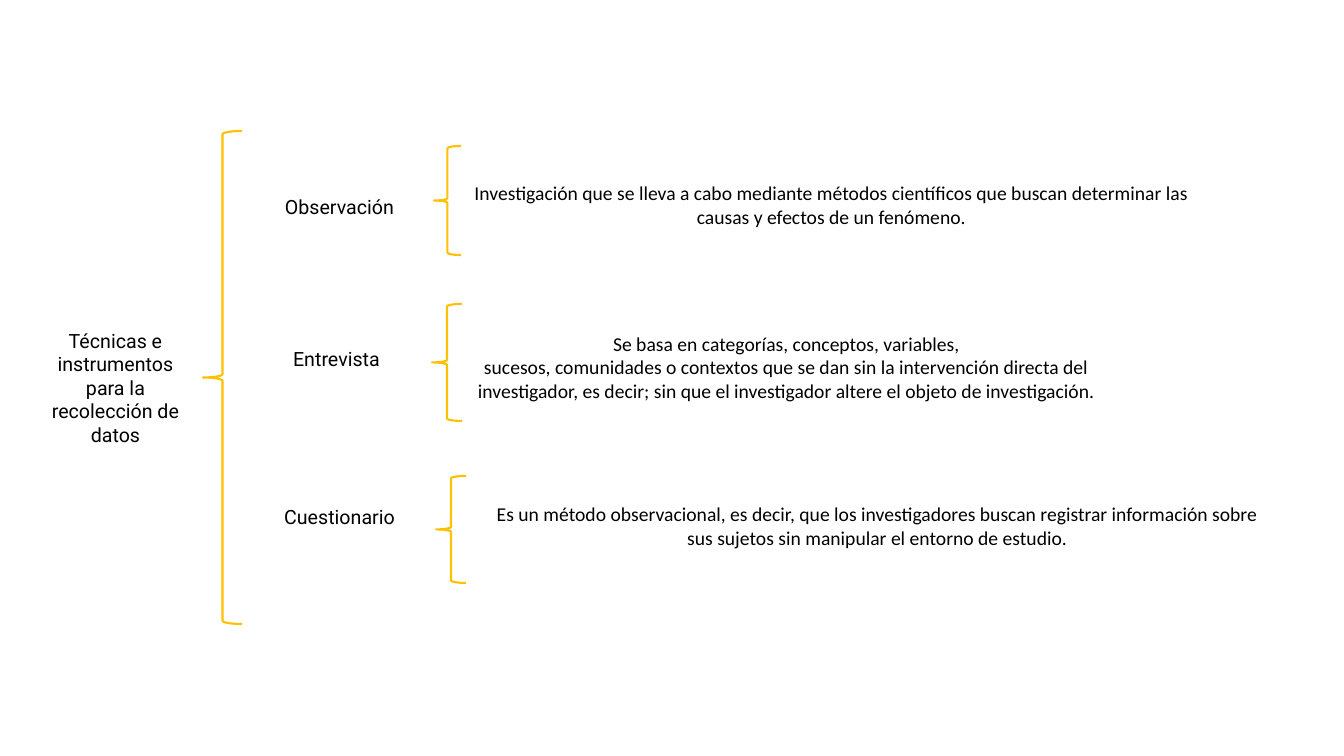
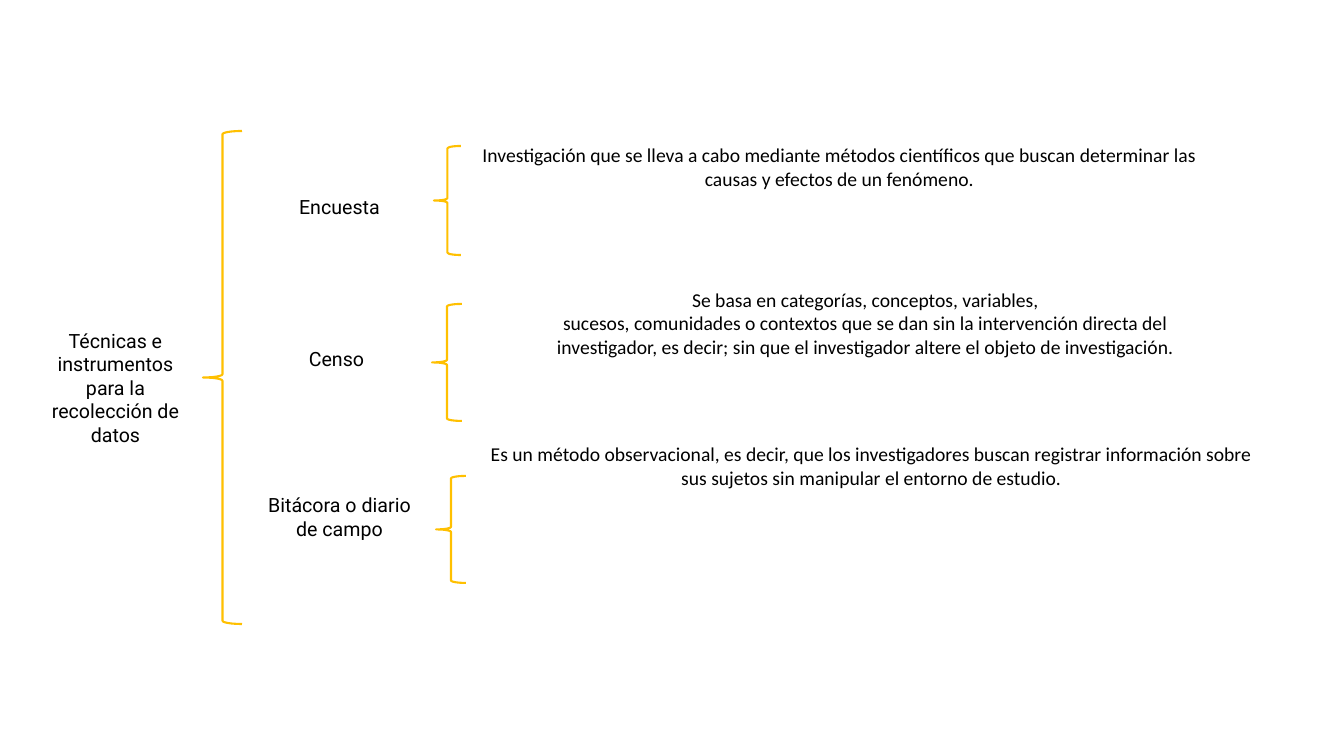
import pptx
import pptx.util
import pptx.dml.color
import pptx.enum.shapes
import pptx.enum.text
from dataclasses import dataclass

PX = 914400 / 100.8  # EMU per pixel


@dataclass(frozen=True)
class Theme:
    text: str = "000000"
    brace: str = "FFC000"
    brace_width: float = 1.5
    label_font: str = "Roboto"
    body_font: str = "Calibri"
    size: int = 14


THEME = Theme()

# Shared content and positions, in pixels: left, top, width, height
SUBJECT = "Técnicas e instrumentos para la recolección de datos"
SUBJECT_BOX = (31, 317, 169, 141)
BRACES = [(203, 131, 39, 493), (434, 146, 27, 109), (432, 304, 30, 117), (436, 476, 30, 107)]
TECHNIQUE_BOXES = [(250, 163, 179, 87), (252, 318, 169, 81), (255, 476, 169, 81)]
DEFINITIONS = [
    "Investigación que se lleva a cabo mediante métodos científicos que buscan "
    "determinar las causas y efectos de un fenómeno.",
    "Se basa en categorías, conceptos, variables,\n"
    "sucesos, comunidades o contextos que se dan sin la intervención directa del\n"
    "investigador, es decir; sin que el investigador altere el objeto de investigación.",
    "Es un método observacional, es decir, que los investigadores buscan registrar "
    "información sobre sus sujetos sin manipular el entorno de estudio.",
]
DEFINITION_SIZES = [(767, 117), (803, 146), (803, 135)]

# What differs per slide: technique names and definition corners
SLIDES = [
    (["Observación", "Entrevista", "Cuestionario"], [(448, 146), (385, 294), (476, 458)]),
    (["Encuesta", "Censo", "Bitácora o diario de campo"], [(456, 108), (464, 250), (470, 398)]),
]


def emu(box):
    return [pptx.util.Emu(round(value * PX)) for value in box]


def write(holder, text, font_name):
    frame = holder.text_frame
    frame.text = text
    frame.word_wrap = True
    frame.auto_size = pptx.enum.text.MSO_AUTO_SIZE.NONE
    frame.vertical_anchor = pptx.enum.text.MSO_ANCHOR.MIDDLE
    for paragraph in frame.paragraphs:
        paragraph.alignment = pptx.enum.text.PP_ALIGN.CENTER
        for run in paragraph.runs:
            run.font.name = font_name
            run.font.size = pptx.util.Pt(THEME.size)
            run.font.color.rgb = pptx.dml.color.RGBColor.from_string(THEME.text)


deck = pptx.Presentation()
deck.slide_width, deck.slide_height = emu((1344, 756))
title_only = deck.slide_layouts[5]

for techniques, corners in SLIDES:
    slide = deck.slides.add_slide(title_only)

    # Subject on the left
    subject = slide.shapes.title
    subject.left, subject.top, subject.width, subject.height = emu(SUBJECT_BOX)
    write(subject, SUBJECT, THEME.label_font)

    # Main brace, then one per technique
    for box in BRACES:
        brace = slide.shapes.add_shape(pptx.enum.shapes.MSO_SHAPE.LEFT_BRACE, *emu(box))
        brace.shadow.inherit = False
        brace.fill.background()
        brace.line.color.rgb = pptx.dml.color.RGBColor.from_string(THEME.brace)
        brace.line.width = pptx.util.Pt(THEME.brace_width)

    # Technique names
    for technique, box in zip(techniques, TECHNIQUE_BOXES):
        write(slide.shapes.add_textbox(*emu(box)), technique, THEME.label_font)

    # Definitions
    for definition, corner, extent in zip(DEFINITIONS, corners, DEFINITION_SIZES):
        write(slide.shapes.add_textbox(*emu(corner + extent)), definition, THEME.body_font)

deck.save("out.pptx")
